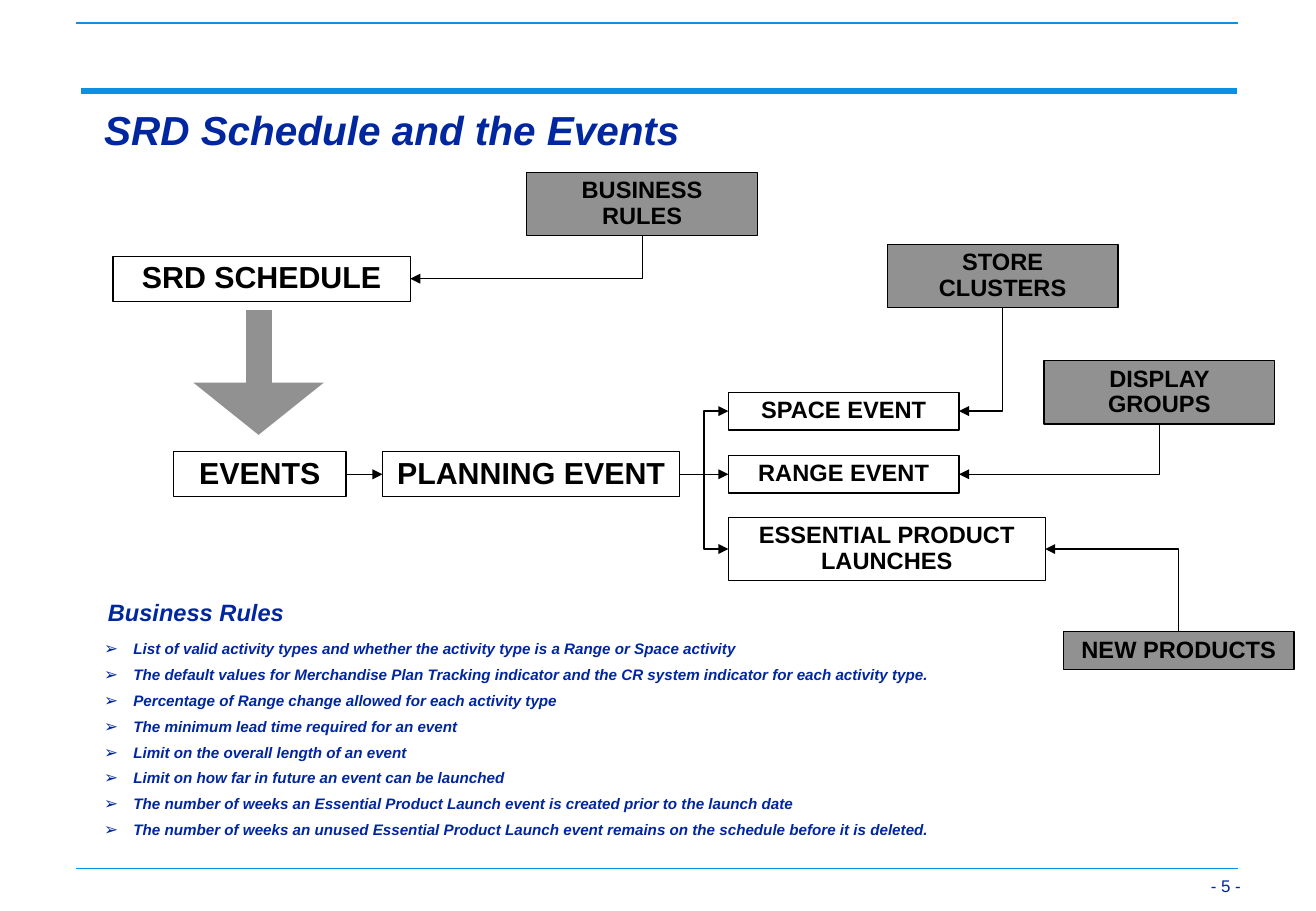
from lxml import etree
from pptx import Presentation
from pptx.dml.color import RGBColor
from pptx.enum.shapes import MSO_CONNECTOR, MSO_SHAPE
from pptx.enum.text import MSO_ANCHOR, PP_ALIGN
from pptx.oxml.ns import qn
from pptx.util import Inches, Pt

STRAIGHT, ELBOW = MSO_CONNECTOR.STRAIGHT, MSO_CONNECTOR.ELBOW
RECTANGLE = MSO_SHAPE.RECTANGLE
LEFT, CENTER, RIGHT = PP_ALIGN.LEFT, PP_ALIGN.CENTER, PP_ALIGN.RIGHT
TOP, MIDDLE, BOTTOM = MSO_ANCHOR.TOP, MSO_ANCHOR.MIDDLE, MSO_ANCHOR.BOTTOM
SITE_TOP, SITE_LEFT, SITE_BOTTOM, SITE_RIGHT = range(4)

BLACK = RGBColor(0x00, 0x00, 0x00)
GRAY = RGBColor(0x91, 0x91, 0x91)
NAVY = RGBColor(0x00, 0x27, 0x9F)
SKY = RGBColor(0x0A, 0x91, 0xE6)
FONT = "Arial"

RULES = [
    "List of valid activity types and whether the activity type is a Range or Space activity",
    "The default values for Merchandise Plan Tracking indicator and the CR system indicator for each activity type.",
    "Percentage of Range change allowed for each activity type",
    "The minimum lead time required for an event",
    "Limit on the overall length of an event",
    "Limit on how far in future an event can be launched",
    "The number of weeks an Essential Product Launch event is created prior to the launch date",
    "The number of weeks an unused Essential Product Launch event remains on the schedule before it is deleted.",
]


def style_para(para, size, color, bold=True, italic=False, align=LEFT):
    """Set the alignment, line spacing and font of a paragraph."""
    para.alignment = align
    para.line_spacing = 0.9
    font = para.font
    font.name, font.size, font.bold, font.italic = FONT, Pt(size), bold, italic
    font.color.rgb = color


def add_text(page, box, lines, size, italic=True, bold=True, align=LEFT,
             anchor=TOP, margins=(0.1, 0.05), bullet=None):
    """Add a navy text box with one paragraph per line."""
    frame = page.shapes.add_textbox(*map(Inches, box)).text_frame
    frame.word_wrap = True
    frame.vertical_anchor = anchor
    frame.margin_left = frame.margin_right = Inches(margins[0])
    frame.margin_top = frame.margin_bottom = Inches(margins[1])
    for index, line in enumerate(lines):
        para = frame.add_paragraph() if index else frame.paragraphs[0]
        para.text = line
        if bullet:
            add_bullet(para, bullet)
        style_para(para, size, NAVY, bold, italic, align)
        if index:
            para.space_before = Pt(5.6)


def add_bullet(para, mark):
    """Give a paragraph a hanging navy bullet."""
    props = para._p.get_or_add_pPr()
    props.set("marL", str(Inches(0.24)))
    props.set("indent", str(-Inches(0.24)))
    color = etree.SubElement(props, qn("a:buClr"))
    etree.SubElement(color, qn("a:srgbClr"), val=str(NAVY))
    etree.SubElement(props, qn("a:buSzPct"), val="110000")
    etree.SubElement(props, qn("a:buFont"), typeface=FONT)
    etree.SubElement(props, qn("a:buChar"), char=mark)


def add_line(page, kind, start, end, color, width, arrow=None):
    """Add a connector without shadow, with an optional arrowhead."""
    line = page.shapes.add_connector(kind, *map(Inches, (*start, *end)))
    line.line.color.rgb = color
    line.line.width = Pt(width)
    if arrow:
        tag, breadth, length = arrow
        etree.SubElement(line.line._get_or_add_ln(), qn(tag),
                         type="triangle", w=breadth, len=length)
    etree.SubElement(line._element.spPr, qn("a:effectLst"))
    return line


def join(page, source, source_site, target, target_site, kind=STRAIGHT, head="a:tailEnd"):
    """Connect two boxes with a thin black arrow."""
    line = add_line(page, kind, (0, 0), (1, 1), BLACK, 0.75, (head, "med", "med"))
    line.begin_connect(source, source_site)
    line.end_connect(target, target_site)
    return line


def join_input(page, event, event_site, source, source_site):
    """Connect an input box to its event with a single right-angle bend."""
    line = join(page, event, event_site, source, source_site, ELBOW, "a:headEnd")
    line._element.spPr.find(qn("a:prstGeom")).set("prst", "bentConnector2")


def add_node(page, box, label, size=14, filled=False):
    """Add a labelled rectangle of the diagram."""
    node = page.shapes.add_shape(RECTANGLE, *map(Inches, box))
    node.shadow.inherit = False
    if filled:
        node.fill.solid()
        node.fill.fore_color.rgb = GRAY
    else:
        node.fill.background()
    node.line.color.rgb = BLACK
    node.line.width = Pt(0.75)
    frame = node.text_frame
    frame.word_wrap = size == 14
    frame.vertical_anchor = MIDDLE
    frame.text = label
    style_para(frame.paragraphs[0], size, BLACK, align=CENTER)
    return node


def add_frame(page, box):
    """Draw the page rules and the page number."""
    left, top, width, height = box
    right, bottom = left + width, top + height
    add_line(page, STRAIGHT, (left + 0.04, top + 0.56), (right - 0.01, top + 0.56), SKY, 4)
    for y in (top, bottom):
        add_line(page, STRAIGHT, (left, y), (right, y), SKY, 1)
    add_text(page, (right - 0.51, bottom - 0.13, 0.6, 0.39), ["- 5 -"], 10, italic=False,
             bold=False, align=RIGHT, anchor=BOTTOM, margins=(0.07, 0.03))


def add_diagram(page, box):
    """Draw the schedule, its events and the inputs that feed them."""
    left, top, width, height = box

    def node(x, y, w, h, label, size=14, filled=False):
        """Place a node relative to the diagram."""
        return add_node(page, (left + x, top + y, w, h), label, size, filled)

    schedule = node(0, 0.69, 2.45, 0.37, "SRD SCHEDULE", 18)
    events = node(0.5, 2.3, 1.42, 0.37, "EVENTS", 18)
    planning = node(2.22, 2.3, 2.45, 0.37, "PLANNING EVENT", 18)
    space = node(5.07, 1.81, 1.9, 0.31, "SPACE EVENT")
    ranges = node(5.07, 2.33, 1.9, 0.31, "RANGE EVENT")
    launches = node(5.07, 2.84, 2.61, 0.52, "ESSENTIAL PRODUCT LAUNCHES")
    business = node(3.41, 0, 1.9, 0.52, "BUSINESS RULES", filled=True)
    clusters = node(6.38, 0.59, 1.9, 0.52, "STORE CLUSTERS", filled=True)
    groups = node(7.67, 1.55, 1.9, 0.52, "DISPLAY GROUPS", filled=True)
    products = node(width - 1.9, height - 0.31, 1.9, 0.31, "NEW PRODUCTS", filled=True)

    add_line(page, STRAIGHT, (left + 1.2, top + 1.13), (left + 1.2, top + 2.16),
             GRAY, 15.5, ("a:tailEnd", "lg", "sm"))
    join(page, events, SITE_RIGHT, planning, SITE_LEFT)
    for event, kind in ((space, ELBOW), (ranges, STRAIGHT), (launches, ELBOW)):
        join(page, planning, SITE_RIGHT, event, SITE_LEFT, kind)
    for event, source, site in ((schedule, business, SITE_BOTTOM),
                                (space, clusters, SITE_BOTTOM),
                                (ranges, groups, SITE_BOTTOM),
                                (launches, products, SITE_TOP)):
        join_input(page, event, SITE_RIGHT, source, site)


def add_rules(page, box):
    """Write the heading and the bulleted list of business rules."""
    left, top, width, height = box
    add_text(page, (left + 0.03, top, 3.13, 0.31), ["Business Rules"], 14)
    add_text(page, (left, top + 0.33, width, height - 0.33), RULES, 9, bullet="➢")


def main():
    """Build the slide and save it."""
    deck = Presentation()
    deck.slide_width, deck.slide_height = Inches(10.84), Inches(7.5)
    page = deck.slides.add_slide(deck.slide_layouts[6])
    add_frame(page, (0.63, 0.19, 9.57, 6.96))
    add_text(page, (0.76, 0.86, 7.84, 0.46), ["SRD Schedule and the Events"], 24)
    add_diagram(page, (0.93, 1.42, 9.73, 4.09))
    add_rules(page, (0.76, 4.9, 8.79, 2.06))
    deck.save("out.pptx")


if __name__ == "__main__":
    main()
